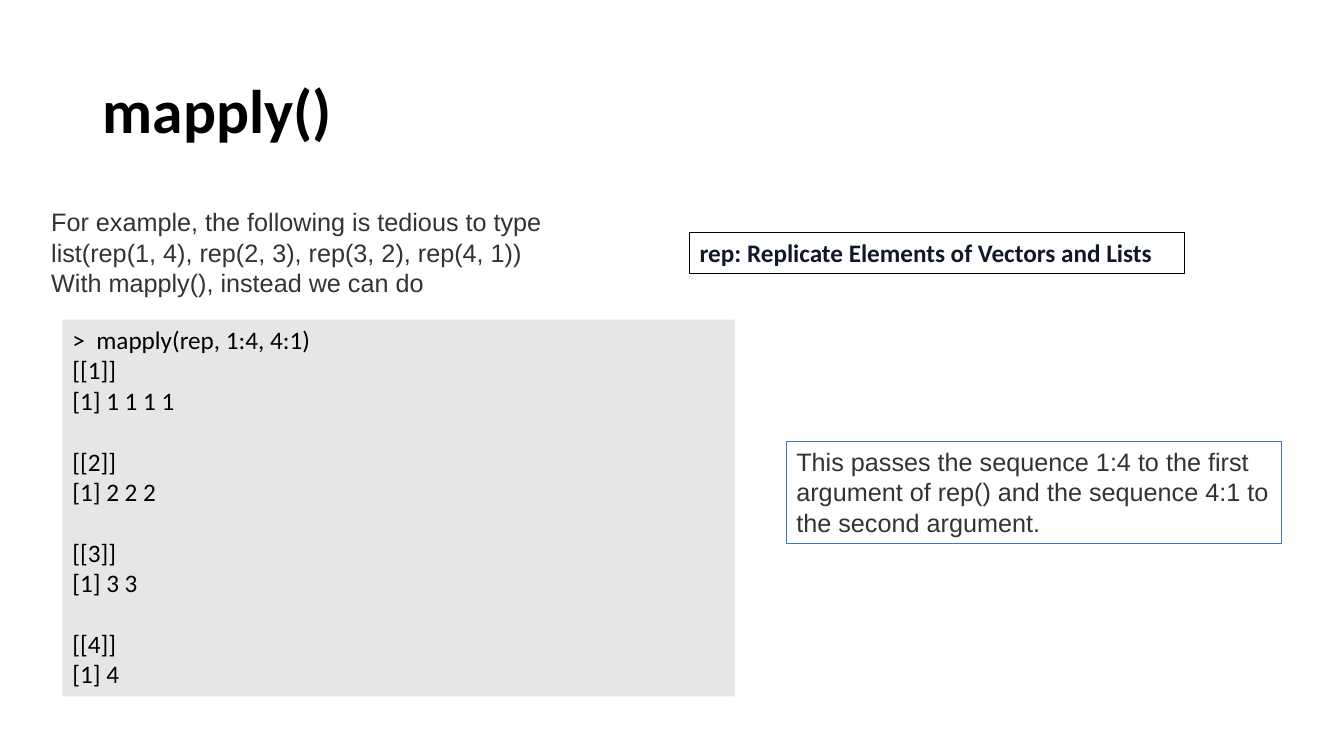
from pptx import Presentation
from pptx.dml.color import RGBColor
from pptx.enum.shapes import MSO_SHAPE
from pptx.enum.text import MSO_ANCHOR, PP_ALIGN
from pptx.util import Inches, Pt

BLACK = RGBColor(0x00, 0x00, 0x00)
GRAPHITE = RGBColor(0x33, 0x33, 0x33)
NAVY = RGBColor(0x11, 0x18, 0x27)
BLUE = RGBColor(0x44, 0x72, 0xC4)
PANEL_GRAY = RGBColor(0xE7, 0xE6, 0xE6)
BODY_SIZE = 18
OUTPUT_GAP = 22

INTRO = [
    "For example, the following is tedious to type",
    "list(rep(1, 4), rep(2, 3), rep(3, 2), rep(4, 1))",
    "With mapply(), instead we can do",
]
CONSOLE = [
    [">  mapply(rep, 1:4, 4:1)", "[[1]]", "[1] 1 1 1 1"],
    ["[[2]]", "[1] 2 2 2"],
    ["[[3]]", "[1] 3 3"],
    ["[[4]]", "[1] 4"],
]
EXPLANATION = ("This passes the sequence 1:4 to the first argument of rep() "
               "and the sequence 4:1 to the second argument.")
DEFINITION = "rep: Replicate Elements of Vectors and Lists"


def write_groups(shape, groups, font_name, color, size=BODY_SIZE, bold=False):
    """Write groups of lines, with a gap above every group but the first."""
    frame = shape.text_frame
    frame.word_wrap = True
    frame.vertical_anchor = MSO_ANCHOR.TOP
    lines = [(line, group_index > 0 and line_index == 0)
             for group_index, group in enumerate(groups)
             for line_index, line in enumerate(group)]
    for index, (line, starts_group) in enumerate(lines):
        para = frame.add_paragraph() if index else frame.paragraphs[0]
        para.text = line
        para.alignment = PP_ALIGN.LEFT
        if starts_group:
            para.space_before = Pt(OUTPUT_GAP)
        font = para.font
        font.name, font.size, font.bold = font_name, Pt(size), bold
        font.color.rgb = color
    return frame


def add_panel(page, box, fill=None, line=None):
    """Add a rectangle with an optional fill and outline."""
    panel = page.shapes.add_shape(MSO_SHAPE.RECTANGLE, *map(Inches, box))
    panel.shadow.inherit = False
    if fill is None:
        panel.fill.background()
    else:
        panel.fill.solid()
        panel.fill.fore_color.rgb = fill
    if line is None:
        panel.line.fill.background()
    else:
        panel.line.color.rgb = line
        panel.line.width = Pt(0.75)
    return panel


def add_title(page, box):
    """Add the slide title, centred vertically in its box."""
    title = page.shapes.add_textbox(*map(Inches, box))
    frame = write_groups(title, [["mapply()"]], "Calibri", BLACK, 44, True)
    frame.vertical_anchor = MSO_ANCHOR.MIDDLE
    frame.paragraphs[0].line_spacing = 0.9


def add_console(page, box):
    """Add the gray panel with the call and its output."""
    write_groups(add_panel(page, box, fill=PANEL_GRAY), CONSOLE, "Calibri", BLACK)


def add_intro(page, box):
    """Add the introductory text."""
    write_groups(page.shapes.add_textbox(*map(Inches, box)), [INTRO], "Arial", GRAPHITE)


def add_explanation(page, box):
    """Add the outlined note on how the arguments are passed."""
    write_groups(add_panel(page, box, line=BLUE), [[EXPLANATION]], "Arial", GRAPHITE)


def add_definition(page, box):
    """Add the outlined definition of rep."""
    write_groups(add_panel(page, box, line=BLACK), [[DEFINITION]], "Calibri", NAVY, bold=True)


def main():
    """Build the deck and save it."""
    deck = Presentation()
    deck.slide_width, deck.slide_height = Inches(13.33), Inches(7.5)
    page = deck.slides.add_slide(deck.slide_layouts[6])
    add_title(page, (0.92, 0.4, 11.5, 1.45))
    add_console(page, (0.62, 3.17, 6.67, 3.74))
    add_intro(page, (0.41, 2, 6.67, 1.01))
    add_explanation(page, (7.8, 4.38, 4.91, 1.01))
    add_definition(page, (6.84, 2.31, 4.91, 0.4))
    deck.save("out.pptx")


if __name__ == "__main__":
    main()
